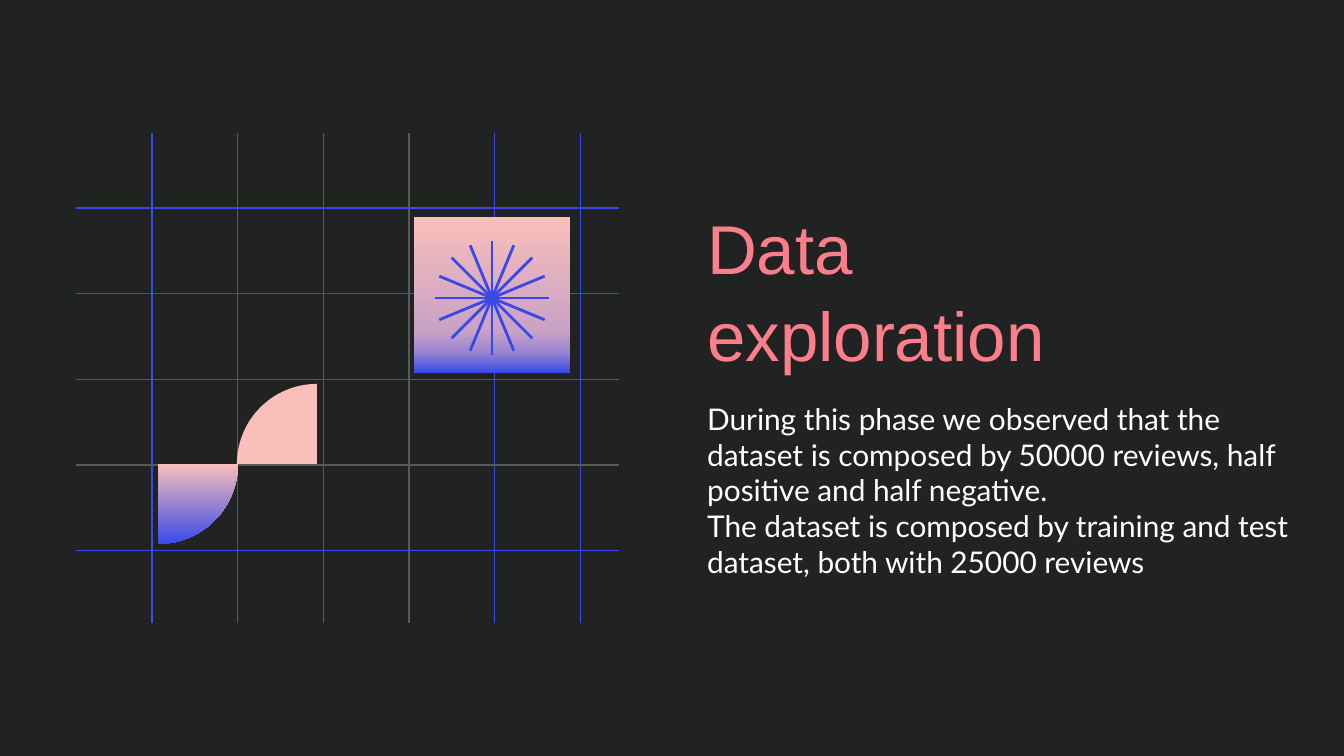
import math
from dataclasses import dataclass

import lxml.etree
import pptx
import pptx.dml.color
import pptx.enum.shapes
import pptx.enum.text
import pptx.oxml.ns
import pptx.util

EMU_PER_PX = 914400 / 134.4


def px(length):
    return pptx.util.Emu(round(length * EMU_PER_PX))


def rgb(value):
    return pptx.dml.color.RGBColor.from_string(value)


@dataclass(frozen=True)
class Theme:
    background: str = "212222"
    title: str = "FB7E8A"
    body: str = "FFFFFF"
    blue: str = "3949E8"
    grey: str = "595959"
    pink: str = "F9BFBA"
    lilac: str = "C9A2C6"
    violet: str = "9984D1"
    title_font: str = "Arial"
    body_font: str = "Lato"
    title_size: int = 37
    body_size: int = 16
    grid_width: float = 0.75
    ray_width: float = 1.5


class SlideBuilder:
    def __init__(self, slide, theme):
        self.slide = slide
        self.theme = theme
        slide.background.fill.solid()
        slide.background.fill.fore_color.rgb = rgb(theme.background)

    def text(self, box, lines, font, size, color, anchor, spacing=1.0):
        shape = self.slide.shapes.add_textbox(*map(px, box))
        frame = shape.text_frame
        frame.word_wrap = True
        frame.vertical_anchor = anchor
        frame.margin_left = frame.margin_right = pptx.util.Inches(0.1)
        frame.margin_top = frame.margin_bottom = pptx.util.Inches(0.1)
        frame.text = "\n".join(lines)
        for paragraph in frame.paragraphs:
            paragraph.line_spacing = spacing
            paragraph.font.name = font
            paragraph.font.size = pptx.util.Pt(size)
            paragraph.font.color.rgb = rgb(color)

    def line(self, start, end, color, width):
        connector = self.slide.shapes.add_connector(
            pptx.enum.shapes.MSO_CONNECTOR.STRAIGHT, *map(px, (*start, *end)))
        connector.line.color.rgb = rgb(color)
        connector.line.width = pptx.util.Pt(width)
        lxml.etree.SubElement(connector._element.spPr, pptx.oxml.ns.qn("a:effectLst"))

    def paint(self, shape, stops):
        shape.shadow.inherit = False
        shape.line.fill.background()
        if len(stops) == 1:
            shape.fill.solid()
            shape.fill.fore_color.rgb = rgb(stops[0][1])
            return
        shape.fill.gradient()
        shape.fill.gradient_angle = 270
        qn = pptx.oxml.ns.qn
        stop_list = shape._element.spPr.find(qn("a:gradFill")).find(qn("a:gsLst"))
        for stop in list(stop_list):
            stop_list.remove(stop)
        for percent, color in stops:
            stop = lxml.etree.SubElement(stop_list, qn("a:gs"), pos=str(percent * 1000))
            lxml.etree.SubElement(stop, qn("a:srgbClr"), val=color)

    def square(self, left, top, side, stops):
        shape = self.slide.shapes.add_shape(
            pptx.enum.shapes.MSO_SHAPE.RECTANGLE, *map(px, (left, top, side, side)))
        self.paint(shape, stops)

    def quarter_disc(self, center, radius, start_degrees, stops):
        center_x, center_y = center
        angles = [math.radians(start_degrees + step * 2.5) for step in range(37)]
        arc = [(px(center_x + radius * math.cos(angle)), px(center_y + radius * math.sin(angle)))
               for angle in angles]
        builder = self.slide.shapes.build_freeform(px(center_x), px(center_y))
        builder.add_line_segments(arc, close=True)
        self.paint(builder.convert_to_shape(), stops)

    def grid(self, columns, rows, left, top, right, bottom):
        theme = self.theme
        for x, color in columns:
            self.line((x, top), (x, bottom), color, theme.grid_width)
        for y, color in rows:
            self.line((right, y), (left, y), color, theme.grid_width)

    def starburst(self, center, radius, rays):
        for index in range(rays):
            angle = math.pi * index / rays
            x, y = radius * math.cos(angle), radius * math.sin(angle)
            self.line((center[0] - x, center[1] - y), (center[0] + x, center[1] + y),
                      self.theme.blue, self.theme.ray_width)


def main():
    theme = Theme()
    presentation = pptx.Presentation()
    presentation.slide_width = px(1344)
    presentation.slide_height = px(756)
    slide = presentation.slides.add_slide(presentation.slide_layouts[6])
    builder = SlideBuilder(slide, theme)

    anchors = pptx.enum.text.MSO_ANCHOR
    builder.text((694, 196, 505, 184), ["Data exploration"], theme.title_font,
                 theme.title_size, theme.title, anchors.MIDDLE, 1.05)
    builder.text((694, 387, 618, 226), [
        "During this phase we observed that the dataset is composed by 50000 reviews, "
        "half positive and half negative.",
        "The dataset is composed by training and test dataset, both with 25000 reviews",
    ], theme.body_font, theme.body_size, theme.body, anchors.TOP)

    blue, grey = theme.blue, theme.grey
    pitch = 85.7
    columns = [(152 + pitch * index, color)
               for index, color in enumerate((blue, grey, grey, grey, blue, blue))]
    rows = [(208 + pitch * index, color)
            for index, color in enumerate((blue, blue, grey, grey, blue))]
    builder.grid(columns, rows, left=76, top=133, right=619, bottom=623)

    builder.quarter_disc((317, 464), 80, 180, [(0, theme.pink)])
    builder.quarter_disc((158, 464), 80, 0, [(0, theme.pink), (100, blue)])
    builder.square(414, 217, 156, [
        (0, theme.pink), (73, theme.lilac), (87, theme.violet), (100, blue)])
    builder.starburst((492, 298), 57, 8)

    presentation.save("out.pptx")


if __name__ == "__main__":
    main()
